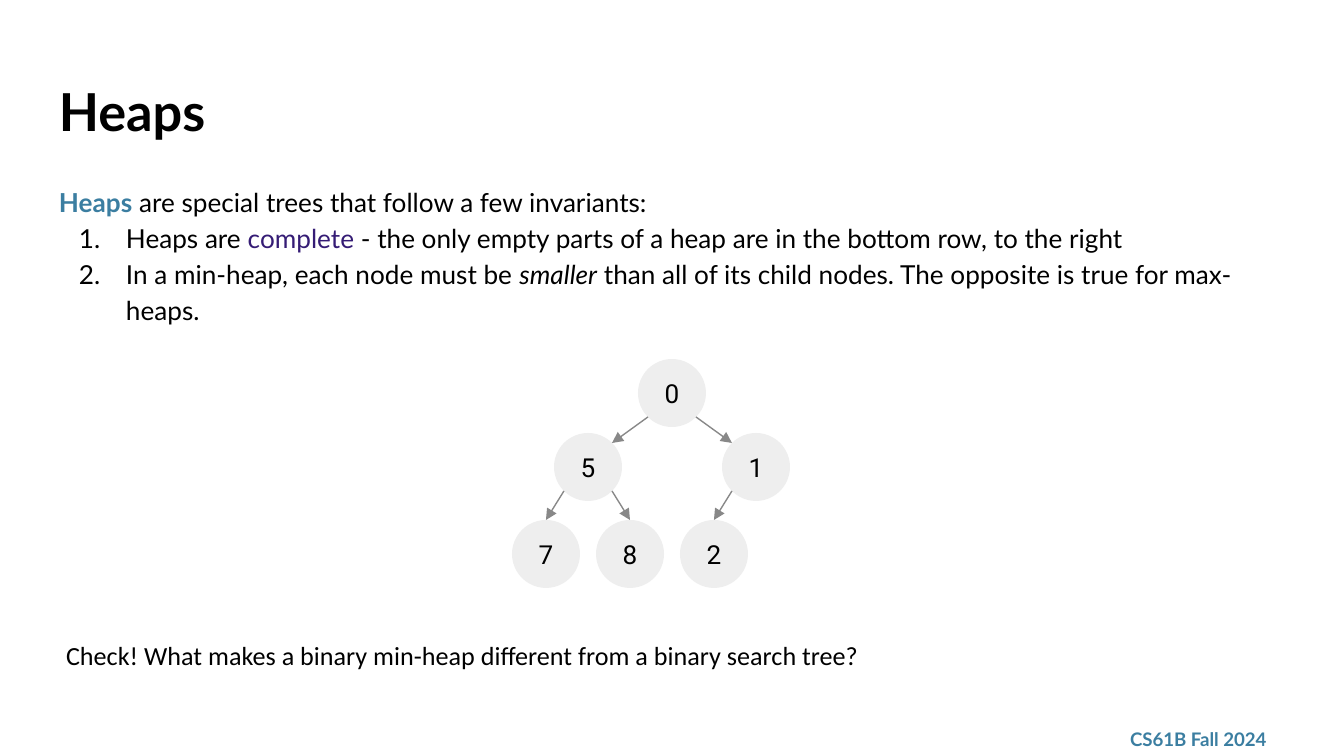
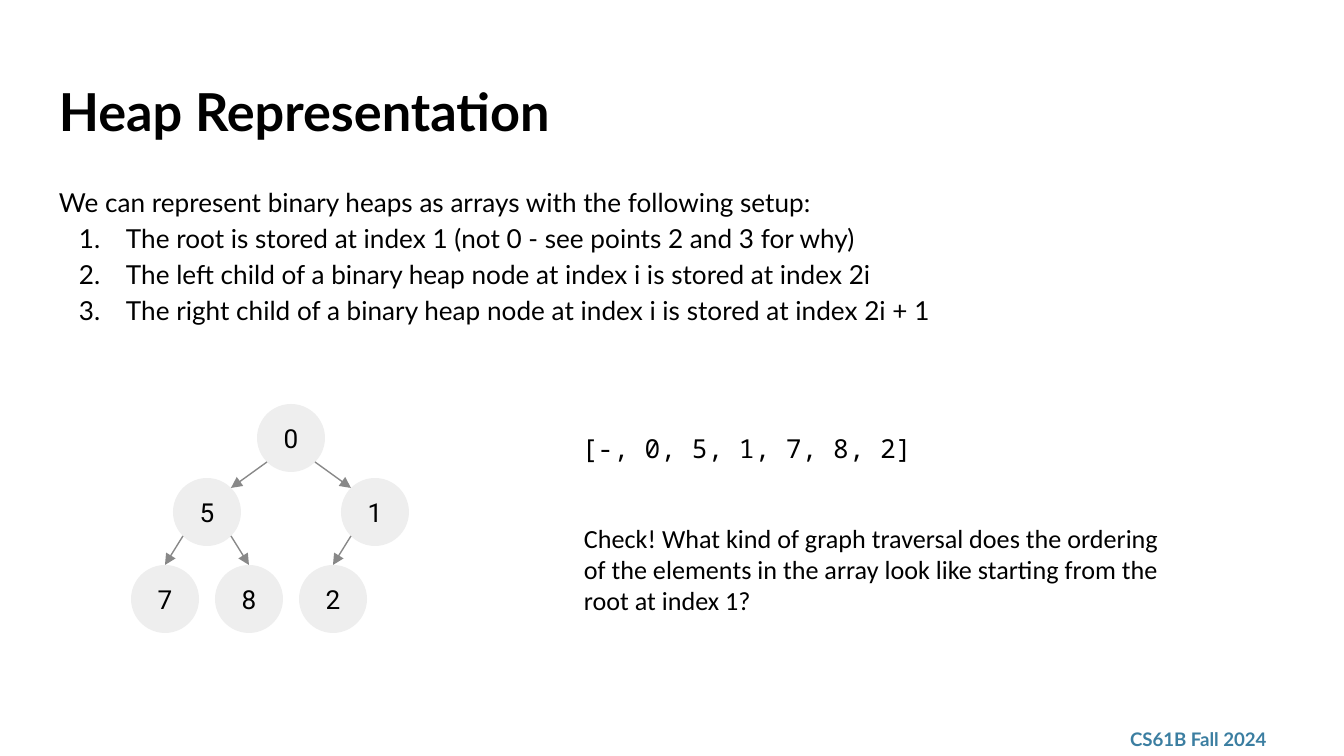
import pptx
import pptx.dml.color
import pptx.enum.shapes
import pptx.enum.text
import pptx.oxml.ns
import pptx.util
import lxml.etree

PX = 914400 / 134.4
INK = {"black": "000000", "blue": "3B7EA1", "violet": "351C75",
       "node": "EEEEEE", "edge": "888888"}
MID = pptx.enum.text.MSO_ANCHOR.MIDDLE
TOP = pptx.enum.text.MSO_ANCHOR.TOP
SIZE = 68        # node diameter
NOOK = 10        # inset of the circle's 45 degree points
ROWS = [0, 74, 161]
STEPS = [0, 168, 84]
KEYS = [0, 5, 1, 7, 8, 2]


def px(*nums):
    return [round(n * PX) for n in nums]


def write(shape, paras, font, size, anchor=TOP, lead=None):
    """Fill a shape with paragraphs, each a list of (text, colour, style) runs;
    with lead, set line spacing and number all paragraphs after the first."""
    frame = shape.text_frame
    frame.word_wrap = True
    frame.vertical_anchor = anchor
    frame.margin_left, frame.margin_top, frame.margin_right, frame.margin_bottom = px(13, 13, 13, 13)
    for n, runs in enumerate(paras):
        para = frame.add_paragraph() if n else frame.paragraphs[0]
        if lead:
            para.line_spacing = lead
        if lead and n:
            props = para._p.get_or_add_pPr()
            left, hang = px(67, -47)
            props.set("marL", str(left))
            props.set("indent", str(hang))
            tint = lxml.etree.SubElement(props, pptx.oxml.ns.qn("a:buClr"))
            lxml.etree.SubElement(tint, pptx.oxml.ns.qn("a:srgbClr"), val=INK["black"])
            lxml.etree.SubElement(props, pptx.oxml.ns.qn("a:buAutoNum"), type="arabicPeriod")
        for text, hue, style in runs:
            run = para.add_run()
            run.text = text
            run.font.name = font
            run.font.size = pptx.util.Pt(size)
            run.font.bold = style == "bold"
            run.font.italic = style == "italic"
            run.font.color.rgb = pptx.dml.color.RGBColor.from_string(INK[hue])


pages = [
    {"title": "Heaps",
     "body": [
         [("Heaps", "blue", "bold"),
          (" are special trees that follow a few invariants:", "black", "")],
         [("Heaps are ", "black", ""), ("complete", "violet", ""),
          (" - the only empty parts of a heap are in the bottom row, to the right", "black", "")],
         [("In a min-heap, each node must be ", "black", ""), ("smaller", "black", "italic"),
          (" than all of its child nodes. The opposite is true for max-heaps.", "black", "")]],
     "root": (638, 359),
     "notes": [
         ((53, 626, 1265, 59), "Calibri",
          "Check! What makes a binary min-heap different from a binary search tree?")]},
    {"title": "Heap Representation",
     "body": [[(line, "black", "")] for line in (
         "We can represent binary heaps as arrays with the following setup:",
         "The root is stored at index 1 (not 0 - see points 2 and 3 for why)",
         "The left child of a binary heap node at index i is stored at index 2i",
         "The right child of a binary heap node at index i is stored at index 2i + 1")],
     "root": (257, 404),
     "notes": [
         ((569, 419, 413, 59), "Noto Sans Mono", "[-, 0, 5, 1, 7, 8, 2]"),
         ((571, 509, 614, 122), "Calibri",
          "Check! What kind of graph traversal does the ordering of the elements "
          "in the array look like starting from the root at index 1?")]},
]

deck = pptx.Presentation()
deck.slide_width, deck.slide_height = px(1344, 756)

for page in pages:
    shapes = deck.slides.add_slide(deck.slide_layouts[6]).shapes

    foot = shapes.add_textbox(*px(1117, 722, 181, 35))
    write(foot, [[("CS61B Fall 2024", "blue", "bold")]], "Lato", 10, MID)
    title = shapes.add_textbox(*px(46, 66, 1253, 85))
    write(title, [[(page["title"], "black", "bold")]], "Lato", 28)
    body = shapes.add_textbox(*px(46, 169, 1253, 156))
    write(body, page["body"], "Lato", 14, lead=1.15)

    # Nodes, placed by their heap index
    left, top = page["root"]
    spots = {}
    for i, key in enumerate(KEYS, 1):
        depth = i.bit_length() - 1
        width = 2 ** depth
        x = left + round((i - width - (width - 1) / 2) * STEPS[depth])
        y = top + ROWS[depth]
        spots[i] = x, y
        node = shapes.add_shape(pptx.enum.shapes.MSO_SHAPE.FLOWCHART_CONNECTOR,
                                *px(x, y, SIZE, SIZE))
        node.shadow.inherit = False
        node.fill.solid()
        node.fill.fore_color.rgb = pptx.dml.color.RGBColor.from_string(INK["node"])
        node.line.fill.background()
        write(node, [[(str(key), "black", "")]], "Roboto", 14, MID)
        node.text_frame.paragraphs[0].alignment = pptx.enum.text.PP_ALIGN.CENTER

    # Arrows from each parent i // 2 to its child i
    for i in range(2, len(KEYS) + 1):
        x, y = spots[i // 2]
        start = x + (SIZE - NOOK if i % 2 else NOOK), y + SIZE - NOOK
        x, y = spots[i]
        if i < 4:
            end = x + (NOOK if i % 2 else SIZE - NOOK), y + NOOK
        else:
            end = x + SIZE // 2, y
        edge = shapes.add_connector(pptx.enum.shapes.MSO_CONNECTOR.STRAIGHT, *px(*start, *end))
        edge.line.color.rgb = pptx.dml.color.RGBColor.from_string(INK["edge"])
        edge.line.width = pptx.util.Pt(0.75)
        lxml.etree.SubElement(edge.line._get_or_add_ln(), pptx.oxml.ns.qn("a:tailEnd"), type="triangle")
        lxml.etree.SubElement(edge._element.spPr, pptx.oxml.ns.qn("a:effectLst"))

    for area, font, text in page["notes"]:
        write(shapes.add_textbox(*px(*area)), [[(text, "black", "")]], font, 14)

deck.save("out.pptx")
